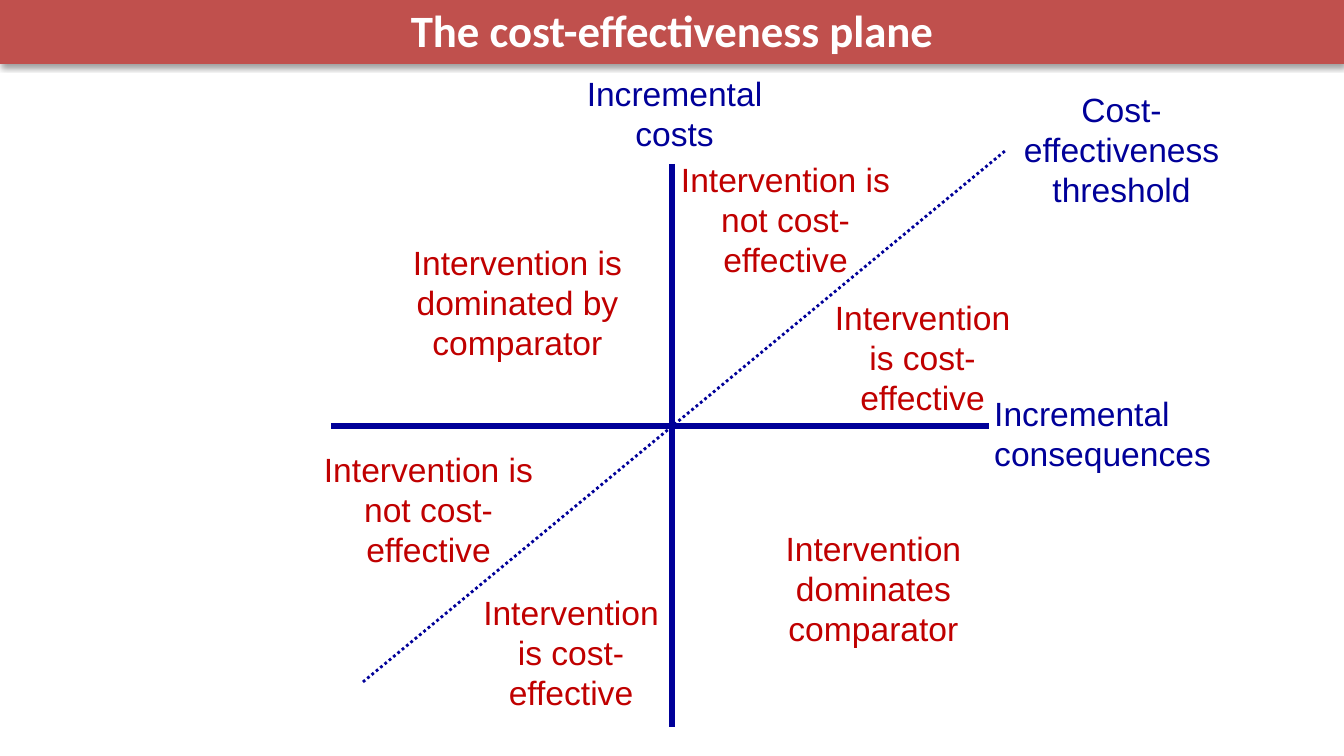
from lxml.etree import SubElement
from pptx import Presentation
from pptx.dml.color import RGBColor
from pptx.enum.dml import MSO_LINE
from pptx.enum.shapes import MSO_CONNECTOR
from pptx.enum.text import MSO_ANCHOR, MSO_AUTO_SIZE, PP_ALIGN
from pptx.oxml.ns import qn
from pptx.util import Emu, Pt

NAVY = RGBColor(0x00, 0x00, 0x99)
RED = RGBColor(0xC0, 0x00, 0x00)
BANNER = RGBColor(0xC0, 0x50, 0x4D)
WHITE = RGBColor(0xFF, 0xFF, 0xFF)

WIDTH, HEIGHT = 1344, 756
ORIGIN_X, ORIGIN_Y = 672, 426
NOT_EFFECTIVE = "Intervention is not cost-effective"
EFFECTIVE = "Intervention is cost-effective"

QUADRANTS = [
    (NOT_EFFECTIVE, 665, 152, 241),
    (NOT_EFFECTIVE, 308, 442, 241),
    (EFFECTIVE, 813, 290, 219),
    (EFFECTIVE, 456, 585, 230),
    ("Intervention is dominated by comparator", 392, 235, 251),
    ("Intervention dominates comparator", 742, 521, 263),
]


def px(n):
    return Emu(round(n * 914400 / 134.4))


def add_run(p, text, font, size, color, bold=False):
    r = p.add_run()
    r.text = text
    r.font.name = font
    r.font.size = Pt(size)
    r.font.bold = bold
    r.font.color.rgb = color


def add_line(s, x1, y1, x2, y2, width, dash=None):
    line = s.shapes.add_connector(
        MSO_CONNECTOR.STRAIGHT, px(x1), px(y1), px(x2), px(y2))
    line.line.color.rgb = NAVY
    line.line.width = Pt(width)
    if dash:
        line.line.dash_style = dash
    SubElement(line._element.spPr, qn("a:effectLst"))


def add_label(s, text, x, y, w, h, color, align=PP_ALIGN.CENTER):
    tf = s.shapes.add_textbox(px(x), px(y), px(w), px(h)).text_frame
    tf.word_wrap = True
    tf.auto_size = MSO_AUTO_SIZE.SHAPE_TO_FIT_TEXT
    p = tf.paragraphs[0]
    p.alignment = align
    add_run(p, text, "Arial", 18, color)


def add_shadow(sp):
    effects = SubElement(sp._element.spPr, qn("a:effectLst"))
    shadow = SubElement(effects, qn("a:outerShdw"), blurRad=str(Pt(3.1)),
                        dist=str(Pt(1.6)), dir="5400000", rotWithShape="0")
    color = SubElement(shadow, qn("a:srgbClr"), val="000000")
    SubElement(color, qn("a:alpha"), val="38000")


def format_title(s, text):
    sp = s.shapes.title
    sp.left, sp.top, sp.width, sp.height = px(0), px(-4), px(WIDTH), px(67)
    sp.fill.solid()
    sp.fill.fore_color.rgb = BANNER
    sp.line.color.rgb = BANNER
    sp.line.width = Pt(0.75)
    add_shadow(sp)
    tf = sp.text_frame
    tf.auto_size = MSO_AUTO_SIZE.NONE
    tf.vertical_anchor = MSO_ANCHOR.MIDDLE
    p = tf.paragraphs[0]
    p.alignment = PP_ALIGN.CENTER
    add_run(p, text, "Calibri", 24, WHITE, bold=True)


def main():
    prs = Presentation()
    prs.slide_width, prs.slide_height = px(WIDTH), px(HEIGHT)
    s = prs.slides.add_slide(prs.slide_layouts[5])
    format_title(s, "The cost-effectiveness plane")

    add_line(s, ORIGIN_X, 164, ORIGIN_X, 727, 3)
    add_line(s, 331, ORIGIN_Y, 989, ORIGIN_Y, 3)
    add_line(s, 363, 682, 1005, 151, 1.5, MSO_LINE.ROUND_DOT)

    for text, x, y, w in QUADRANTS:
        add_label(s, text, x, y, w, 136, RED)
    add_label(s, "Incremental costs", 554, 66, 241, 95, NAVY)
    add_label(s, "Incremental consequences", 981, 386, 262, 95, NAVY,
              PP_ALIGN.LEFT)
    add_label(s, "Cost-effectiveness threshold", 1001, 82, 241, 136, NAVY)
    prs.save("out.pptx")


if __name__ == "__main__":
    main()
